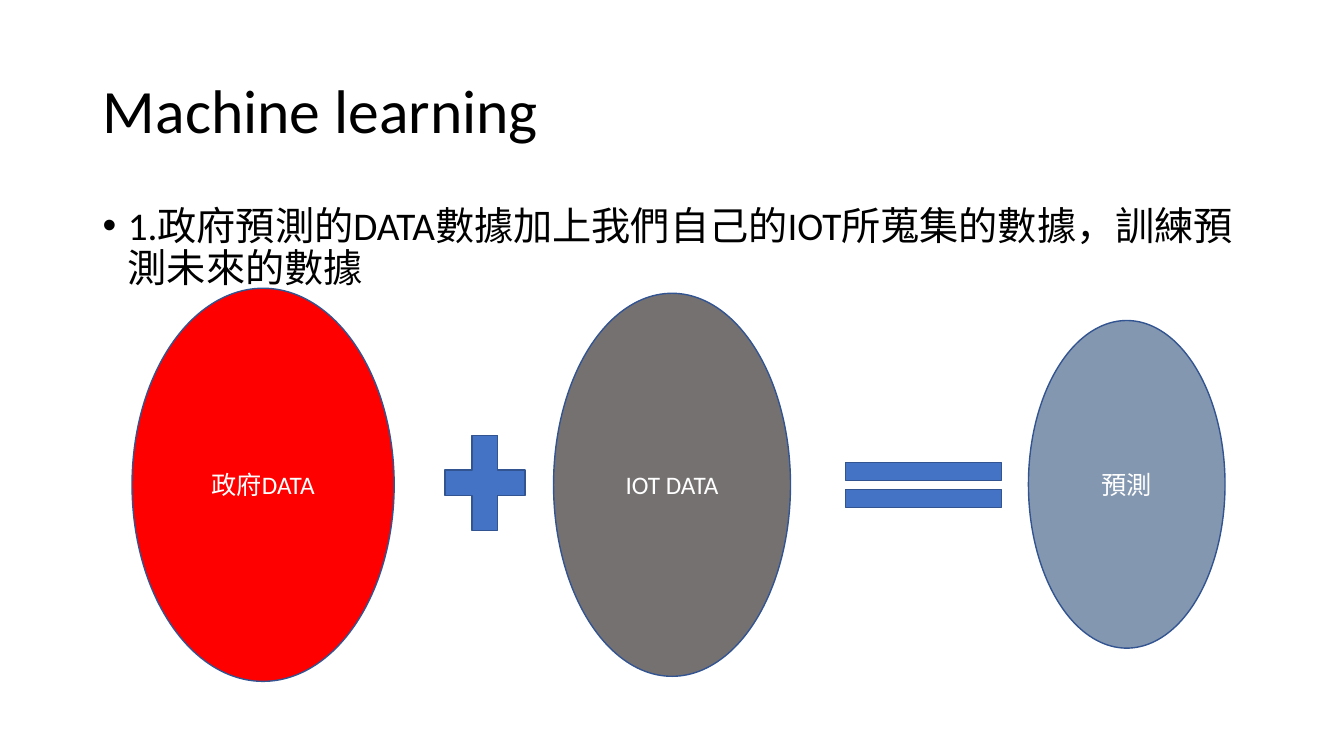
from lxml import etree
from pptx import Presentation
from pptx.dml.color import RGBColor
from pptx.enum.shapes import MSO_SHAPE
from pptx.enum.text import MSO_ANCHOR, MSO_AUTO_SIZE, PP_ALIGN
from pptx.oxml.ns import qn
from pptx.util import Pt

PX = 9144  # 100 px to the inch
ELLIPSE, PLUS, EQUAL = MSO_SHAPE.OVAL, MSO_SHAPE.MATH_PLUS, MSO_SHAPE.MATH_EQUAL
LEFT, CENTER = PP_ALIGN.LEFT, PP_ALIGN.CENTER
TOP, MIDDLE = MSO_ANCHOR.TOP, MSO_ANCHOR.MIDDLE
NO_AUTOFIT = MSO_AUTO_SIZE.NONE
TITLE_ONLY = 5

THEME = {
    "font": "Calibri",
    "title": 44, "body": 28, "label": 18, "outline_width": 1,
    "ink": "000000", "light": "FFFFFF", "outline": "325491",
    "government": "FF0000", "iot": "767171", "forecast": "8497B0",
    "operator": "4472C4",
}


def color(name):
    return RGBColor.from_string(THEME[name])


def write(box, text, size, ink="ink", align=LEFT, anchor=MIDDLE, spacing=1.0, bullet_indent=0):
    frame = box.text_frame
    frame.word_wrap = True
    frame.auto_size = NO_AUTOFIT
    frame.vertical_anchor = anchor
    para = frame.paragraphs[0]
    para.alignment = align
    para.line_spacing = spacing
    if bullet_indent:
        properties = para._p.get_or_add_pPr()
        properties.set("marL", str(bullet_indent * PX))
        properties.set("indent", str(-bullet_indent * PX))
        etree.SubElement(properties, qn("a:buFont")).set("typeface", "Arial")
        etree.SubElement(properties, qn("a:buChar")).set("char", "•")
    span = para.add_run()
    span.text = text
    span.font.name = THEME["font"]
    span.font.size = Pt(THEME[size])
    span.font.color.rgb = color(ink)


deck = Presentation()
deck.slide_width, deck.slide_height = 1333 * PX, 750 * PX
page = deck.slides.add_slide(deck.slide_layouts[TITLE_ONLY])

# Title
title = page.shapes.title
title.left, title.top, title.width, title.height = 92 * PX, 40 * PX, 1150 * PX, 145 * PX
write(title, "Machine learning", "title", spacing=0.9)

# Bulleted statement
statement = page.shapes.add_textbox(92 * PX, 200 * PX, 1150 * PX, 476 * PX)
write(statement, "1.政府預測的DATA數據加上我們自己的IOT所蒐集的數據，訓練預測未來的數據",
      "body", anchor=TOP, spacing=0.9, bullet_indent=25)

# Equation: government data + IOT data = forecast
equation = [
    (ELLIPSE, 131, 286, 260, 390, "government", "政府DATA"),
    (ELLIPSE, 549, 291, 235, 380, "iot", "IOT DATA"),
    (PLUS, 427, 415, 108, 128, "operator", ""),
    (EQUAL, 811, 443, 210, 76, "operator", ""),
    (ELLIPSE, 1020, 318, 195, 325, "forecast", "預測"),
]
for kind, left, top, width, height, fill, label in equation:
    shape = page.shapes.add_shape(kind, left * PX, top * PX, width * PX, height * PX)
    shape.shadow.inherit = False
    shape.fill.solid()
    shape.fill.fore_color.rgb = color(fill)
    shape.line.color.rgb = color("outline")
    shape.line.width = Pt(THEME["outline_width"])
    if label:
        write(shape, label, "label", ink="light", align=CENTER)

deck.save("out.pptx")
